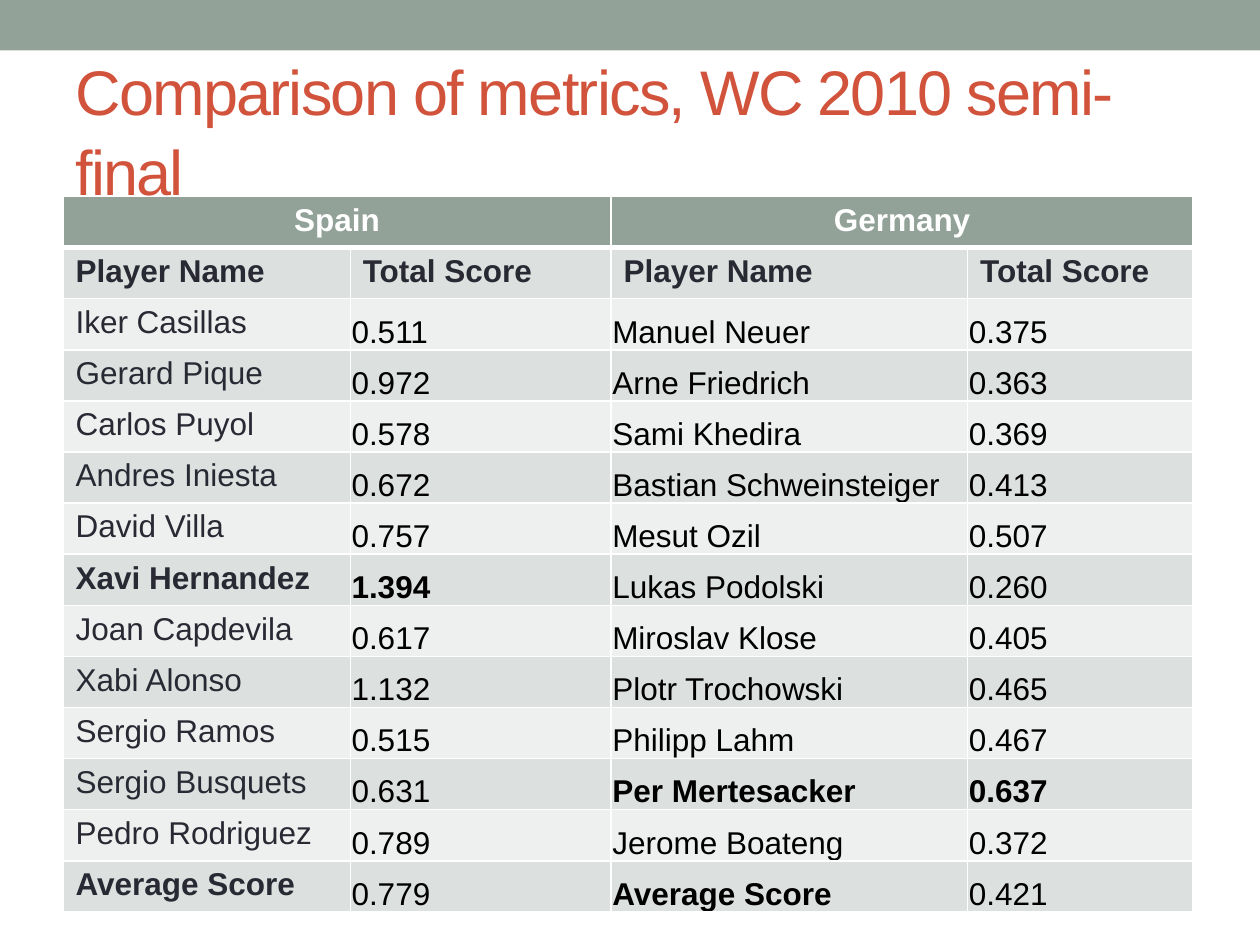
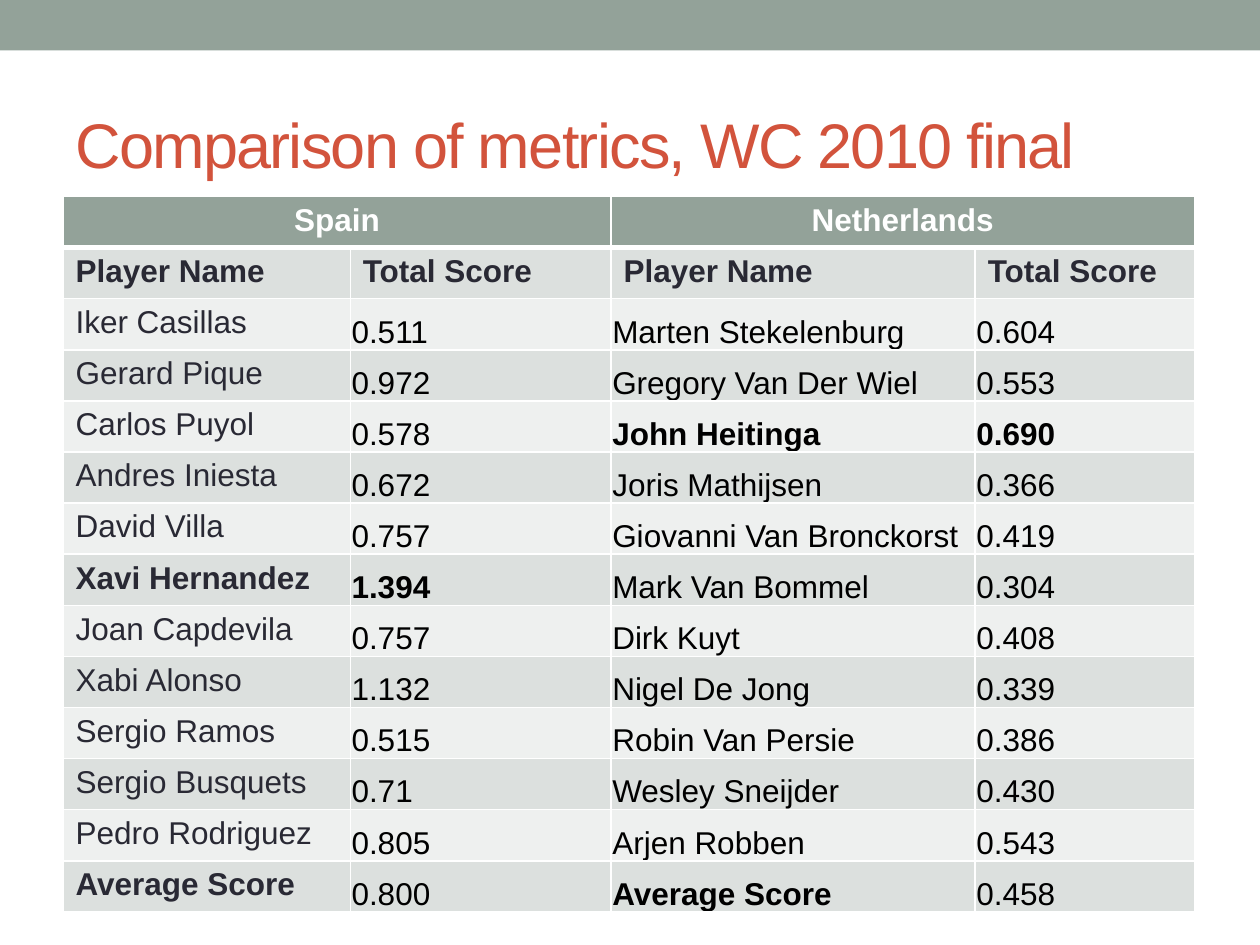
import pptx
import pptx.util
import pptx.dml.color
import pptx.enum.shapes
import pptx.enum.text
import pptx.oxml
import pptx.oxml.ns

Inches, Pt = pptx.util.Inches, pptx.util.Pt
RGB = pptx.dml.color.RGBColor
ALIGN = pptx.enum.text.PP_ALIGN
ANCHOR = pptx.enum.text.MSO_ANCHOR

# Shared look
SAGE = RGB(0x93, 0xA2, 0x99)
RUST = RGB(0xD2, 0x53, 0x3C)
INK = RGB(0x29, 0x29, 0x34)
BLACK = RGB(0, 0, 0)
WHITE = RGB(0xFF, 0xFF, 0xFF)
DARK = RGB(0xDC, 0xE0, 0xDE)
LIGHT = RGB(0xEE, 0xF0, 0xEF)
FONT = "Arial"

# Content: the last score of each team is its average
HEADS = ["Player Name", "Total Score"]
MEAN = "Average Score"
SPAIN = ["Iker Casillas", "Gerard Pique", "Carlos Puyol", "Andres Iniesta",
         "David Villa", "Xavi Hernandez", "Joan Capdevila", "Xabi Alonso",
         "Sergio Ramos", "Sergio Busquets", "Pedro Rodriguez"]
GERMANY = ["Manuel Neuer", "Arne Friedrich", "Sami Khedira",
           "Bastian Schweinsteiger", "Mesut Ozil", "Lukas Podolski",
           "Miroslav Klose", "Plotr Trochowski", "Philipp Lahm",
           "Per Mertesacker", "Jerome Boateng"]
DUTCH = ["Marten Stekelenburg", "Gregory Van Der Wiel", "John Heitinga",
         "Joris Mathijsen", "Giovanni Van Bronckorst", "Mark Van Bommel",
         "Dirk Kuyt", "Nigel De Jong", "Robin Van Persie",
         "Wesley Sneijder", "Arjen Robben"]
GAMES = [
    {"title": "Comparison of metrics, WC 2010 semi-final", "top": 0.48,
     "cols": [2.28, 2.07, 2.83, 1.79],
     "teams": [
         ("Spain", SPAIN, "0.511 0.972 0.578 0.672 0.757 1.394 "
                          "0.617 1.132 0.515 0.631 0.789 0.779"),
         ("Germany", GERMANY, "0.375 0.363 0.369 0.413 0.507 0.260 "
                              "0.405 0.465 0.467 0.637 0.372 0.421")]},
    {"title": "Comparison of metrics, WC 2010 final", "top": 0.58,
     "cols": [2.28, 2.07, 2.89, 1.74],
     "teams": [
         ("Spain", SPAIN, "0.511 0.972 0.578 0.672 0.757 1.394 "
                          "0.757 1.132 0.515 0.71 0.805 0.800"),
         ("Netherlands", DUTCH, "0.604 0.553 0.690 0.366 0.419 0.304 "
                                "0.408 0.339 0.386 0.430 0.543 0.458")]},
]


def style(para, size, color, bold=False):
    para.font.name = FONT
    para.font.size = Pt(size)
    para.font.color.rgb = color
    para.font.bold = bold


def add_band(slide):
    band = slide.shapes.add_shape(
        pptx.enum.shapes.MSO_SHAPE.RECTANGLE, 0, 0, Inches(10), Inches(0.4))
    band.shadow.inherit = False
    band.fill.solid()
    band.fill.fore_color.rgb = SAGE
    band.line.fill.background()


def add_title(slide, text, top):
    box = slide.shapes.add_textbox(
        Inches(0.5), Inches(top), Inches(9), Inches(1.08))
    frame = box.text_frame
    frame.word_wrap = True
    frame.vertical_anchor = ANCHOR.MIDDLE
    para = frame.paragraphs[0]
    run = para.add_run()
    run.text = text
    style(para, 36, RUST)
    para.line_spacing = 1.05
    run.font.size = Pt(36)
    run.font._element.set("spc", "-100")


def add_edges(cell, row):
    wide = {"T": 3 if row == 1 else 1, "B": 3 if row == 0 else 1}
    props = cell._tc.get_or_add_tcPr()
    for i, side in enumerate("LRTB"):
        props.insert(i, pptx.oxml.parse_xml(
            f'<a:ln{side} {pptx.oxml.ns.nsdecls("a")} '
            f'w="{Pt(wide.get(side, 1))}"><a:solidFill>'
            f'<a:srgbClr val="{WHITE}"/></a:solidFill></a:ln{side}>'))


def team_rows(team):
    """Rows of (text, bold) pairs; the best player is bold."""
    label, names, line = team
    scores = line.split()
    best = max(scores[:-1], key=float)
    rows = [[(label, True), ("", True)], [(head, True) for head in HEADS]]
    for name, score in zip(names + [MEAN], scores):
        top = score == best
        rows.append([(name, top or name == MEAN), (score, top)])
    return rows


def add_scores(slide, game):
    left, right = map(team_rows, game["teams"])
    rows = [a + b for a, b in zip(left, right)]
    grid = slide.shapes.add_table(
        len(rows), 4, Inches(0.5), Inches(1.56),
        Inches(sum(game["cols"])), Inches(5.68)).table
    for col, width in zip(grid.columns, game["cols"]):
        col.width = Inches(width)
    for r, row in enumerate(rows):
        for c, (text, bold) in enumerate(row):
            cell = grid.cell(r, c)
            cell.fill.solid()
            cell.fill.fore_color.rgb = (
                SAGE if r == 0 else DARK if r % 2 else LIGHT)
            add_edges(cell, r)
            cell.text = text
            para = cell.text_frame.paragraphs[0]
            tight = r > 1 and c > 0
            style(para, 18, WHITE if r == 0 else BLACK if tight else INK, bold)
            if r == 0:
                para.alignment = ALIGN.CENTER
            if tight:
                cell.vertical_anchor = ANCHOR.BOTTOM
                cell.margin_left = cell.margin_right = Inches(0.01)
                cell.margin_top, cell.margin_bottom = Inches(0.01), 0
    for c in (0, 2):
        grid.cell(0, c).merge(grid.cell(0, c + 1))


# Build the slides
deck = pptx.Presentation()
deck.slide_width, deck.slide_height = Inches(10), Inches(7.5)
for game in GAMES:
    slide = deck.slides.add_slide(deck.slide_layouts[6])
    add_band(slide)
    add_title(slide, game["title"], game["top"])
    add_scores(slide, game)
deck.save("out.pptx")
